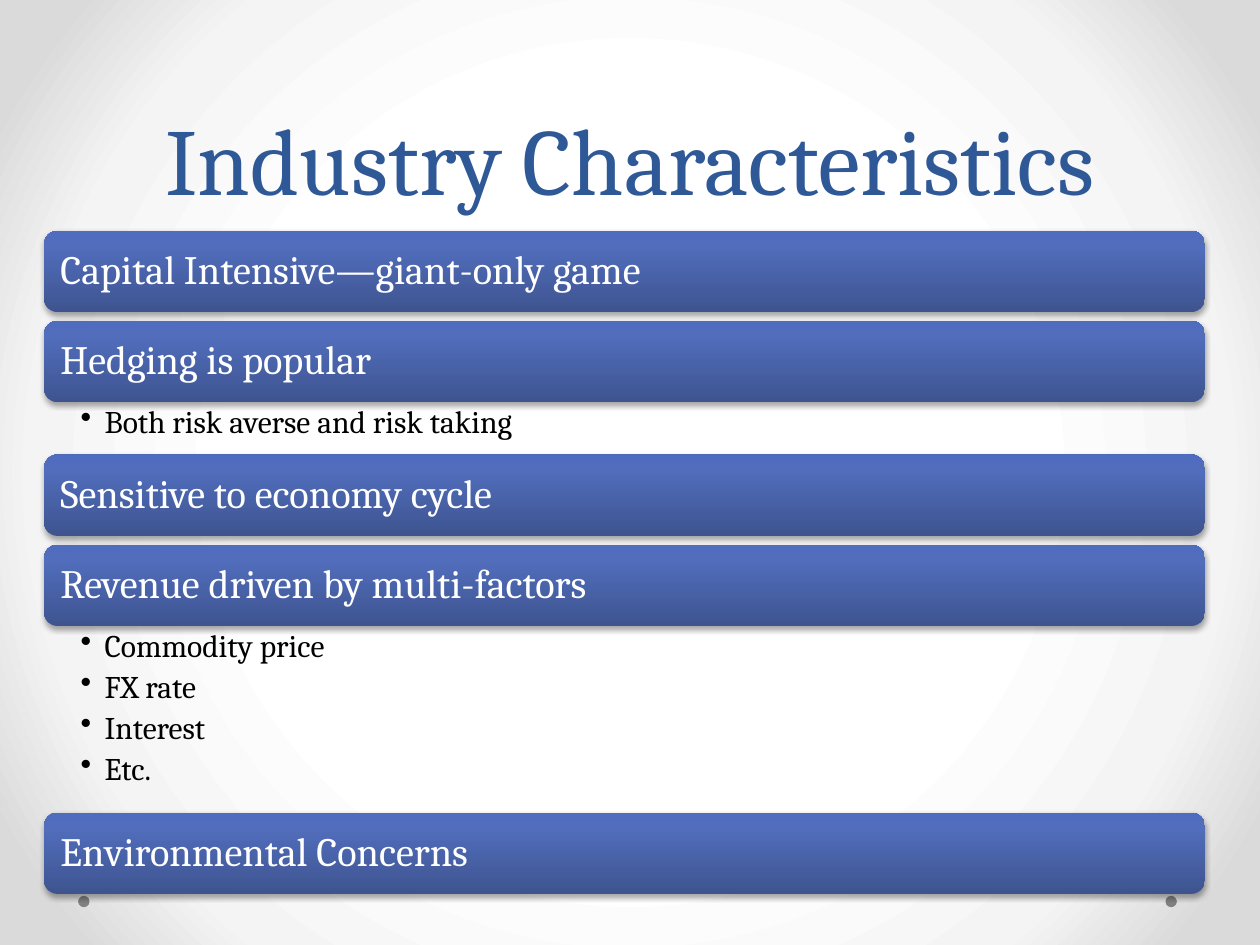
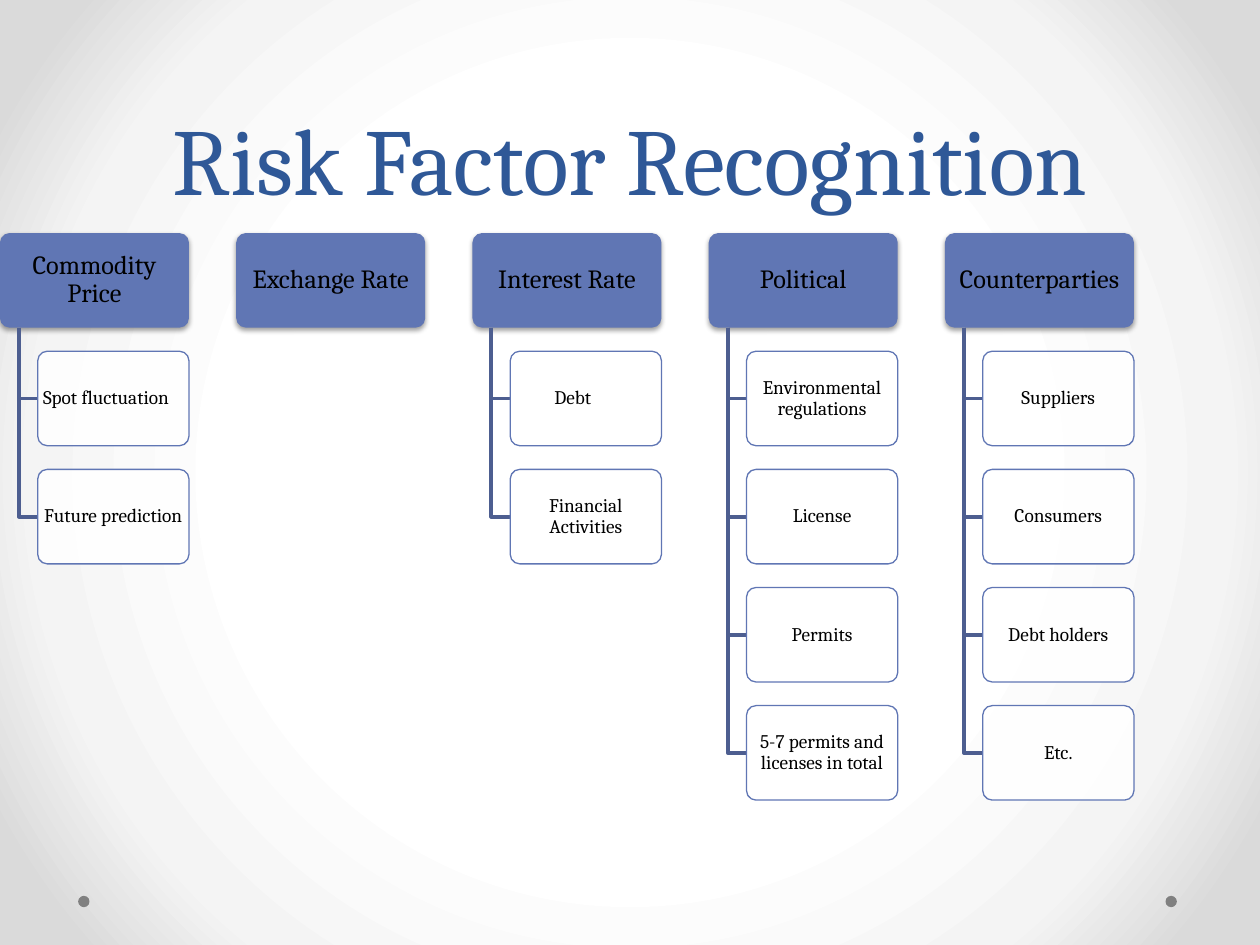
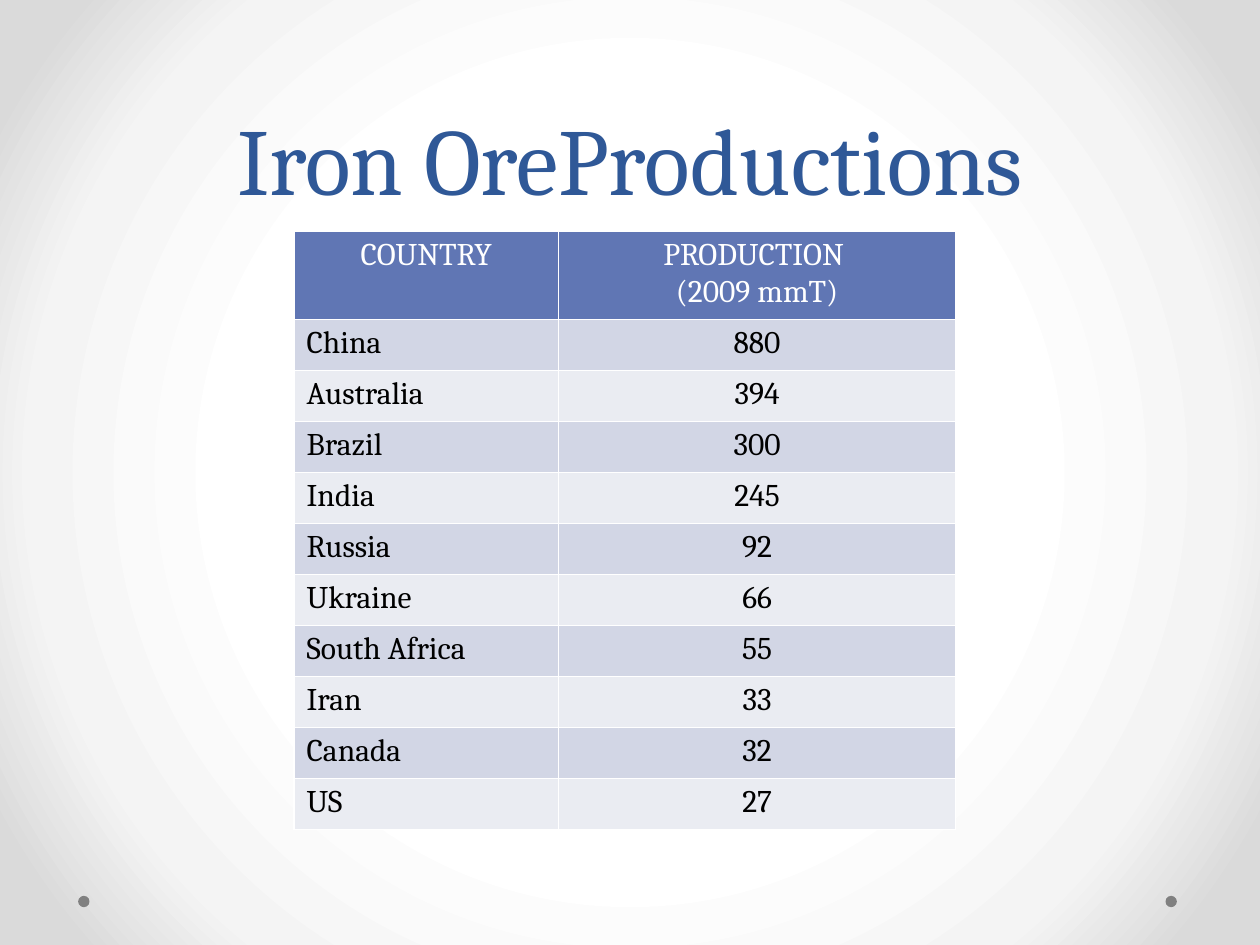
import pptx
import pptx.dml.color
import pptx.enum.shapes
import pptx.enum.text
import pptx.oxml
import pptx.oxml.ns
import pptx.util

Pt = pptx.util.Pt
Inches = pptx.util.Inches
RGBColor = pptx.dml.color.RGBColor
ALIGN = pptx.enum.text.PP_ALIGN
ANCHOR = pptx.enum.text.MSO_ANCHOR
SHAPE = pptx.enum.shapes.MSO_SHAPE
qn = pptx.oxml.ns.qn

WHITE = RGBColor(0xFF, 0xFF, 0xFF)
BLACK = RGBColor(0x00, 0x00, 0x00)
GRAY = RGBColor(0x80, 0x80, 0x80)
TITLE_BLUE = RGBColor(0x2F, 0x58, 0x97)
ACCENT = RGBColor(0x60, 0x76, 0xB4)
BRANCH_BLUE = RGBColor(0x4D, 0x5E, 0x90)
BAND_DARK = RGBColor(0xD2, 0xD6, 0xE5)
BAND_LIGHT = RGBColor(0xEA, 0xEC, 0xF2)
BAR_STOPS = [(0, RGBColor(0x3E, 0x54, 0x90)), (80, RGBColor(0x51, 0x6D, 0xBB)),
             (100, RGBColor(0x4F, 0x6C, 0xBE))]
PAGE_STOPS = [(50, WHITE), (76, RGBColor(0xF4, 0xF4, 0xF4)),
              (92, RGBColor(0xDA, 0xDA, 0xDA))]
UPWARD = '<a:lin ang="16200000" scaled="0"/>'
FROM_CENTRE = ('<a:path path="circle"><a:fillToRect l="50000" t="50000" '
               'r="50000" b="50000"/></a:path>')
FONT = "Cambria"
GRID_COLUMNS, GRID_ROWS = 80, 60

CHARACTERISTICS = [
    ("Capital Intensive—giant-only game", [], 0),
    ("Hedging is popular", ["Both risk averse and risk taking"], 3.32),
    ("Sensitive to economy cycle", [], 0),
    ("Revenue driven by multi-factors",
     ["Commodity price", "FX rate", "Interest", "Etc."], 11.84),
    ("Environmental Concerns", [], 0),
]
RISKS = {
    "Commodity Price": ["Spot fluctuation\t", "Future prediction"],
    "Exchange Rate": [],
    "Interest Rate": ["Debt\t", "Financial Activities"],
    "Political": ["Environmental regulations", "License", "Permits",
                  "5-7 permits and licenses in total"],
    "Counterparties": ["Suppliers", "Consumers", "Debt holders", "Etc."],
}
PRODUCTION = [
    ("COUNTRY", "PRODUCTION \n(2009 mmT)"),
    ("China", "880"), ("Australia", "394"), ("Brazil", "300"), ("India", "245"),
    ("Russia", "92"), ("Ukraine", "66"), ("South Africa", "55"), ("Iran", "33"),
    ("Canada", "32"), ("US", "27"),
]


def drawing_xml(tag, content="", attributes=""):
    namespace = pptx.oxml.ns.nsdecls("a")
    return pptx.oxml.parse_xml(f"<a:{tag} {namespace} {attributes}>{content}</a:{tag}>")


def set_gradient(fill, owner, stops, direction):
    """Replace the fill found inside the owner element by the given stops."""
    fill.gradient()
    default = next(owner.iter(qn("a:gradFill")))
    stop_list = "".join(f'<a:gs pos="{position * 1000}"><a:srgbClr val="{color}"/></a:gs>'
                        for position, color in stops)
    default.getparent().replace(default, drawing_xml(
        "gradFill", f"<a:gsLst>{stop_list}</a:gsLst>{direction}", 'rotWithShape="1"'))


def add_shadow(shape, opacity, distance):
    effects = shape.element.spPr.find(qn("a:effectLst"))
    effects.append(drawing_xml(
        "outerShdw", f'<a:srgbClr val="{BLACK}"><a:alpha val="{opacity * 1000}"/></a:srgbClr>',
        f'blurRad="{Pt(3.1)}" dist="{Pt(distance)}" dir="5400000" rotWithShape="0"'))


def write(frame, text, size, color=BLACK, align=ALIGN.LEFT, anchor=ANCHOR.TOP,
          insets=(0.1, 0.05, 0.1, 0.05), line_spacing=None, space_after=None, bullet_indent=None):
    """Fill a text frame, one paragraph for each line; insets are in inches."""
    frame.word_wrap = True
    frame.vertical_anchor = anchor
    (frame.margin_left, frame.margin_top,
     frame.margin_right, frame.margin_bottom) = map(Inches, insets)
    frame.text = text
    for paragraph in frame.paragraphs:
        paragraph.alignment = align
        paragraph.line_spacing = line_spacing
        paragraph.space_after = space_after
        if bullet_indent:
            properties = paragraph._p.get_or_add_pPr()
            properties.set("marL", str(Inches(bullet_indent)))
            properties.set("indent", str(-Inches(bullet_indent)))
            properties.append(drawing_xml("buChar", attributes='char="•"'))
        paragraph.font.name = FONT
        paragraph.font.size = Pt(size)
        paragraph.font.color.rgb = color


class Deck:
    """Holds the presentation, its style and the current slide."""

    def __init__(self):
        self.presentation = pptx.Presentation()
        self.presentation.slide_width = Inches(10)
        self.presentation.slide_height = Inches(7.5)
        self.column = self.presentation.slide_width / GRID_COLUMNS
        self.row = self.presentation.slide_height / GRID_ROWS
        master = self.presentation.slide_master
        set_gradient(master.background.fill, master.element, PAGE_STOPS, FROM_CENTRE)

    def place(self, left, top, width, height):
        return (round(left * self.column), round(top * self.row),
                round(width * self.column), round(height * self.row))

    def new_slide(self, title):
        self.slide = self.presentation.slides.add_slide(self.presentation.slide_layouts[6])
        for left in (74, 4.96):
            self.shape(SHAPE.OVAL, left, 56.88, 0.72, 0.72, fill=GRAY)
        self.text(title, 4, 0, 72, 14, size=54, color=TITLE_BLUE, align=ALIGN.CENTER,
                  anchor=ANCHOR.BOTTOM, line_spacing=Pt(58))

    def text(self, text, left, top, width, height, **style):
        box = self.slide.shapes.add_textbox(*self.place(left, top, width, height))
        write(box.text_frame, text, **style)

    def shape(self, kind, left, top, width, height, fill=None):
        shape = self.slide.shapes.add_shape(kind, *self.place(left, top, width, height))
        shape.shadow.inherit = False
        shape.line.fill.background()
        if fill is not None:
            shape.fill.solid()
            shape.fill.fore_color.rgb = fill
        return shape

    def bar(self, text, left, top, width, height):
        bar = self.shape(SHAPE.ROUNDED_RECTANGLE, left, top, width, height)
        set_gradient(bar.fill, bar.element.spPr, BAR_STOPS, UPWARD)
        add_shadow(bar, opacity=35, distance=1.8)
        write(bar.text_frame, text, size=23, color=WHITE, anchor=ANCHOR.MIDDLE,
              insets=(0.1,) * 4, line_spacing=0.9)

    def card(self, text, left, top, width, height, fill, size, side_inset):
        card = self.shape(SHAPE.ROUNDED_RECTANGLE, left, top, width, height, fill)
        card.adjustments[0] = 0.1
        write(card.text_frame, text, size=size, align=ALIGN.CENTER, anchor=ANCHOR.MIDDLE,
              insets=(side_inset, 0.02) * 2, line_spacing=0.9)
        return card

    def head_card(self, text, *position):
        card = self.card(text, *position, fill=ACCENT, size=15, side_inset=0.03)
        add_shadow(card, opacity=38, distance=1.6)

    def leaf_card(self, text, *position):
        card = self.card(text, *position, fill=WHITE, size=11, side_inset=0.02)
        color = next(card.element.spPr.find(qn("a:solidFill")).iter(qn("a:srgbClr")))
        color.append(drawing_xml("alpha", attributes='val="90000"'))
        card.line.color.rgb = ACCENT
        card.line.width = Pt(0.75)

    def branch(self, left, top, width, height):
        """Draw an elbow that goes down and then right."""
        x, y, run, drop = self.place(left, top, width, height)
        builder = self.slide.shapes.build_freeform(x, y)
        builder.add_line_segments([(x, y + drop), (x + run, y + drop)], close=False)
        elbow = builder.convert_to_shape()
        elbow.shadow.inherit = False
        elbow.fill.background()
        elbow.line.color.rgb = BRANCH_BLUE
        elbow.line.width = Pt(2.25)

    def table(self, rows, left, top, widths, heights):
        position = self.place(left, top, sum(widths), sum(heights))
        table = self.slide.shapes.add_table(len(rows), len(widths), *position).table
        for column, width in zip(table.columns, widths):
            column.width = round(width * self.column)
        for number, (row, height, values) in enumerate(zip(table.rows, heights, rows)):
            row.height = round(height * self.row)
            is_header = number == 0
            band = ACCENT if is_header else BAND_DARK if number % 2 else BAND_LIGHT
            for index, (cell, value) in enumerate(zip(row.cells, values)):
                write(cell.text_frame, value, size=18, color=WHITE if is_header else BLACK,
                      align=ALIGN.CENTER if is_header or index else ALIGN.LEFT)
                self.cell_style(cell, band)

    def cell_style(self, cell, color):
        properties = cell._tc.get_or_add_tcPr()
        for side in "LRTB":
            properties.append(drawing_xml(
                f"ln{side}", f'<a:solidFill><a:srgbClr val="{WHITE}"/></a:solidFill>',
                f'w="{Pt(1)}"'))
        cell.fill.solid()
        cell.fill.fore_color.rgb = color


def add_characteristics(deck):
    deck.new_slide("Industry Characteristics")
    left, width, bar_height, gap = 2.8, 73.7, 5.17, 0.55
    top = 14.65
    for heading, points, points_height in CHARACTERISTICS:
        deck.bar(heading, left, top, width, bar_height)
        top += bar_height
        if points:
            deck.text("\n".join(points), left, top, width, points_height, size=18,
                      insets=(0.29, 0.03, 0.18, 0.03), line_spacing=0.9,
                      space_after=Pt(4), bullet_indent=0.19)
        top += points_height or gap


def add_risk_factors(deck):
    deck.new_slide("Risk Factor Recognition")
    top, width, height = 14.8, 12, 6
    column_pitch, row_pitch = width * 1.25, height * 1.25
    stem, indent = width * 0.1, width * 0.2
    for number, (risk, factors) in enumerate(RISKS.items()):
        left = number * column_pitch
        deck.head_card(risk, left, top, width, height)
        for level, factor in enumerate(factors, start=1):
            leaf_top = top + level * row_pitch
            deck.branch(left + stem, top + height, indent - stem,
                        level * row_pitch - height / 2)
            deck.leaf_card(factor, left + indent, leaf_top, width - indent, height)


def add_production(deck):
    deck.new_slide("Iron OreProductions")
    deck.table(PRODUCTION, 18.67, 14.67, widths=[16.8, 25.2],
               heights=[5.4] + [3.24] * (len(PRODUCTION) - 1))


def main():
    deck = Deck()
    add_characteristics(deck)
    add_risk_factors(deck)
    add_production(deck)
    deck.presentation.save("out.pptx")


if __name__ == "__main__":
    main()
